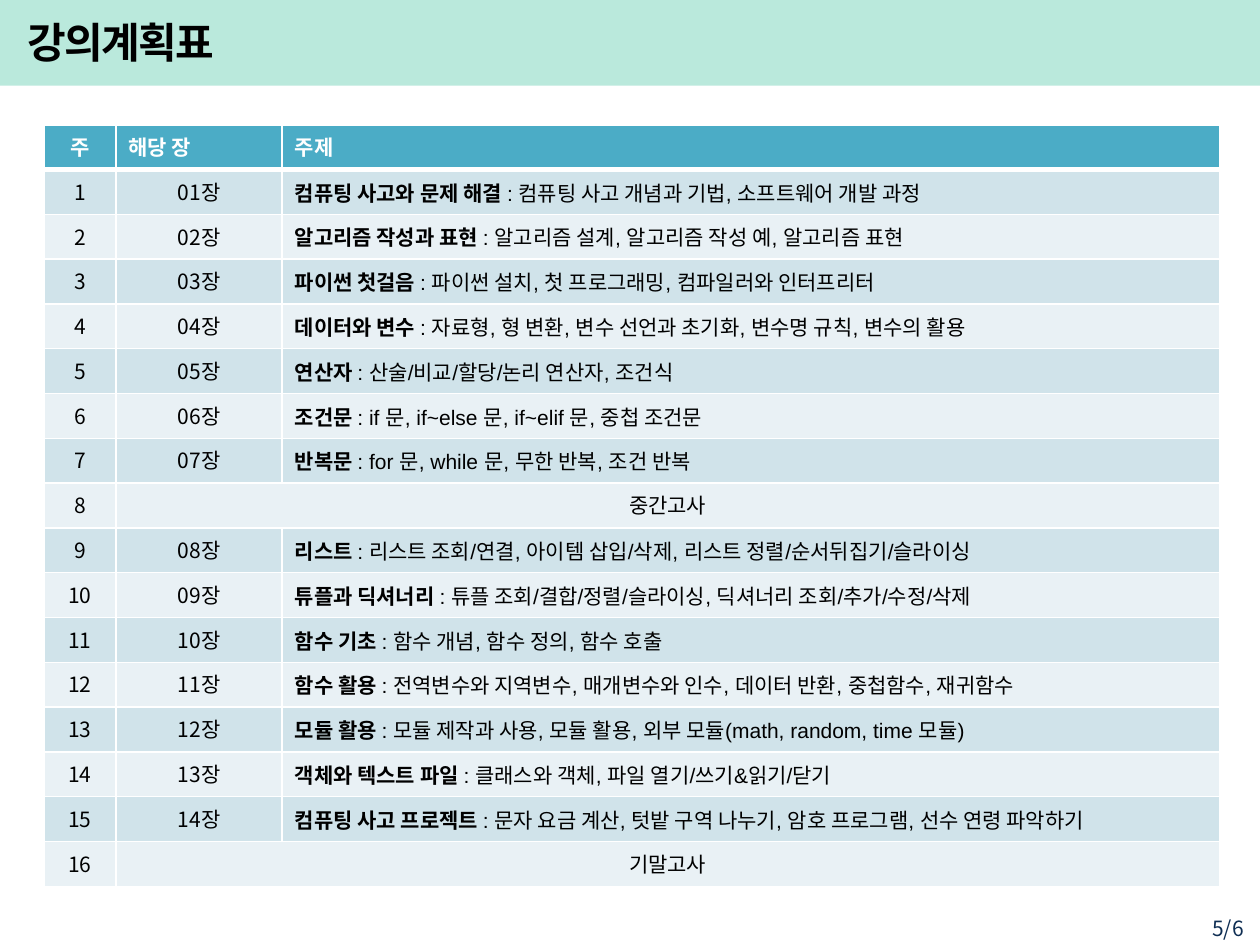
import pptx
import pptx.util
import pptx.oxml.ns
import pptx.dml.color
import pptx.enum.shapes
import pptx.enum.text
from lxml import etree

Inches, Pt = pptx.util.Inches, pptx.util.Pt
RGBColor = pptx.dml.color.RGBColor
ALIGN = pptx.enum.text.PP_ALIGN
ANCHOR = pptx.enum.text.MSO_ANCHOR
qn = pptx.oxml.ns.qn

BLACK = RGBColor(0x00, 0x00, 0x00)
WHITE = RGBColor(0xFF, 0xFF, 0xFF)
NAVY = RGBColor(0x0F, 0x2E, 0x53)
GREEN = RGBColor(0x02, 0xAF, 0x7E)
HEADER_FILL = RGBColor(0x4B, 0xAC, 0xC6)
BAND_FILLS = [RGBColor(0xE9, 0xF1, 0xF5), RGBColor(0xD0, 0xE3, 0xEA)]
KOREAN = "Noto Sans CJK KR"
LATIN = "Arial"

TITLE = "강의계획표"
PAGE = "5/6"
HEADERS = ["주", "해당 장", "주제"]
# One entry a week: (topic, details), or a plain string for an exam week
WEEKS = [
    ("컴퓨팅 사고와 문제 해결", "컴퓨팅 사고 개념과 기법, 소프트웨어 개발 과정"),
    ("알고리즘 작성과 표현", "알고리즘 설계, 알고리즘 작성 예, 알고리즘 표현"),
    ("파이썬 첫걸음", "파이썬 설치, 첫 프로그래밍, 컴파일러와 인터프리터"),
    ("데이터와 변수", "자료형, 형 변환, 변수 선언과 초기화, 변수명 규칙, 변수의 활용"),
    ("연산자", "산술/비교/할당/논리 연산자, 조건식"),
    ("조건문", "if 문, if~else 문, if~elif 문, 중첩 조건문"),
    ("반복문", "for 문, while 문, 무한 반복, 조건 반복"),
    "중간고사",
    ("리스트", "리스트 조회/연결, 아이템 삽입/삭제, 리스트 정렬/순서뒤집기/슬라이싱"),
    ("튜플과 딕셔너리", "튜플 조회/결합/정렬/슬라이싱, 딕셔너리 조회/추가/수정/삭제"),
    ("함수 기초", "함수 개념, 함수 정의, 함수 호출"),
    ("함수 활용", "전역변수와 지역변수, 매개변수와 인수, 데이터 반환, 중첩함수, 재귀함수"),
    ("모듈 활용", "모듈 제작과 사용, 모듈 활용, 외부 모듈(math, random, time 모듈)"),
    ("객체와 텍스트 파일", "클래스와 객체, 파일 열기/쓰기&읽기/닫기"),
    ("컴퓨팅 사고 프로젝트", "문자 요금 계산, 텃밭 구역 나누기, 암호 프로그램, 선수 연령 파악하기"),
    "기말고사",
]
COL_WIDTHS = [0.57, 1.32, 7.44]
TABLE_LEFT, TABLE_TOP, TABLE_HEIGHT = 0.35, 0.99, 6.05


def add_run(p, text, color=BLACK, **formats):
    r = p.add_run()
    r.text = text
    r.font.color.rgb = color
    for name, value in {"size": Pt(12), "name": KOREAN, "bold": False, **formats}.items():
        setattr(r.font, name, value)
    etree.SubElement(r.font._element, qn("a:ea"), typeface=KOREAN)
    return r


def add_label(slide, box, text, align, anchor, **formats):
    tf = slide.shapes.add_textbox(*map(Inches, box)).text_frame
    tf.word_wrap = True
    tf.vertical_anchor = anchor
    tf.paragraphs[0].alignment = align
    return add_run(tf.paragraphs[0], text, **formats)


def style_cell(cell, fill, top=1, bottom=1):
    """Give the cell white borders (widths in points) and a plain fill."""
    tcPr = cell._tc.get_or_add_tcPr()
    for side, width in {"L": 1, "R": 1, "T": top, "B": bottom}.items():
        ln = etree.SubElement(tcPr, qn(f"a:ln{side}"), w=str(Pt(width)))
        solid = etree.SubElement(ln, qn("a:solidFill"))
        etree.SubElement(solid, qn("a:srgbClr"), val=str(WHITE))
    cell.fill.solid()
    cell.fill.fore_color.rgb = fill


def fill_cell(cell, runs, align):
    p = cell.text_frame.paragraphs[0]
    p.alignment = align
    for text, formats in runs:
        add_run(p, text, **formats)


def add_plan(slide):
    n_rows = len(WEEKS) + 1
    table = slide.shapes.add_table(
        n_rows, len(COL_WIDTHS), Inches(TABLE_LEFT), Inches(TABLE_TOP),
        Inches(sum(COL_WIDTHS)), Inches(TABLE_HEIGHT)).table
    for column, width in zip(table.columns, COL_WIDTHS):
        column.width = Inches(width)
    for row in table.rows:
        row.height = Inches(TABLE_HEIGHT / n_rows)

    for col, text in enumerate(HEADERS):
        cell = table.cell(0, col)
        style_cell(cell, HEADER_FILL, bottom=3)
        fill_cell(cell, [(text, {"color": WHITE, "bold": True})],
                  ALIGN.LEFT if col else ALIGN.CENTER)

    chapter = 0
    for week, entry in enumerate(WEEKS, 1):
        number, middle, topic = (table.cell(week, col) for col in range(3))
        for cell in (number, middle, topic):
            style_cell(cell, BAND_FILLS[week % 2], top=3 if week == 1 else 1)
        fill_cell(number, [(str(week), {})], ALIGN.CENTER)
        if isinstance(entry, str):
            middle.merge(topic)
            fill_cell(middle, [(entry, {})], ALIGN.CENTER)
            continue
        chapter += 1
        fill_cell(middle, [(f"{chapter:02}장", {})], ALIGN.CENTER)
        name, details = entry
        topic.vertical_anchor = ANCHOR.MIDDLE
        fill_cell(topic, [(name + " ", {"name": LATIN, "bold": True}),
                          (": " + details, {"name": LATIN})], ALIGN.LEFT)


def main():
    prs = pptx.Presentation()
    prs.slide_width, prs.slide_height = Inches(10), Inches(7.5)
    s = prs.slides.add_slide(prs.slide_layouts[6])

    band = s.shapes.add_shape(pptx.enum.shapes.MSO_SHAPE.RECTANGLE,
                              0, 0, prs.slide_width, Inches(0.68))
    band.shadow.inherit = False
    band.line.fill.background()
    band.fill.solid()
    band.fill.fore_color.rgb = GREEN
    color = band._element.spPr.find(".//" + qn("a:srgbClr"))
    etree.SubElement(color, qn("a:alpha"), val="27000")

    add_label(s, (9.05, 7.22, 0.92, 0.23), PAGE, ALIGN.RIGHT, ANCHOR.TOP, color=NAVY)
    title = add_label(s, (0.12, 0.07, 8.51, 0.52), TITLE, ALIGN.LEFT, ANCHOR.MIDDLE,
                      size=Pt(24), bold=True)
    title.font._element.set("spc", "-100")
    add_plan(s)
    prs.save("out.pptx")


if __name__ == "__main__":
    main()
